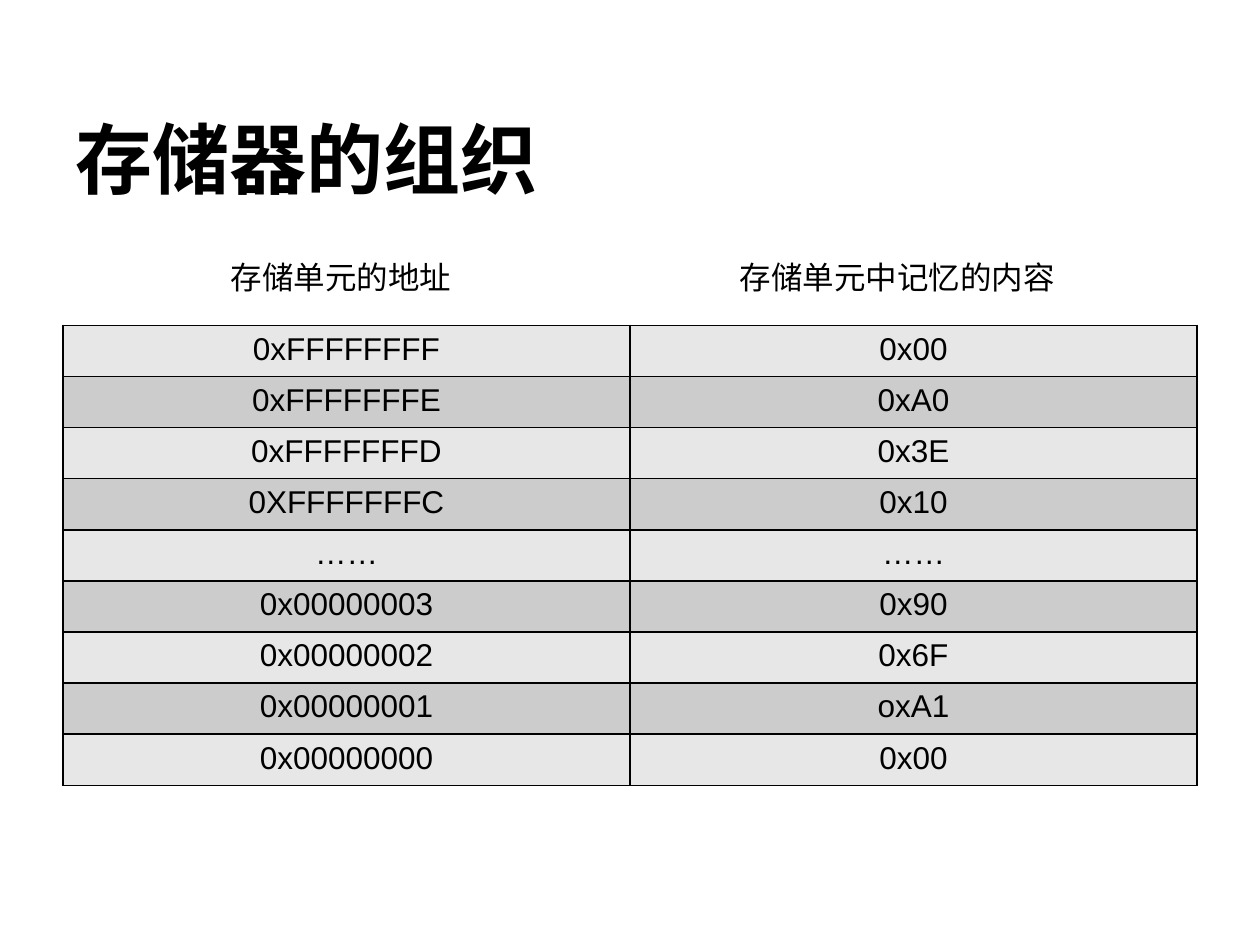
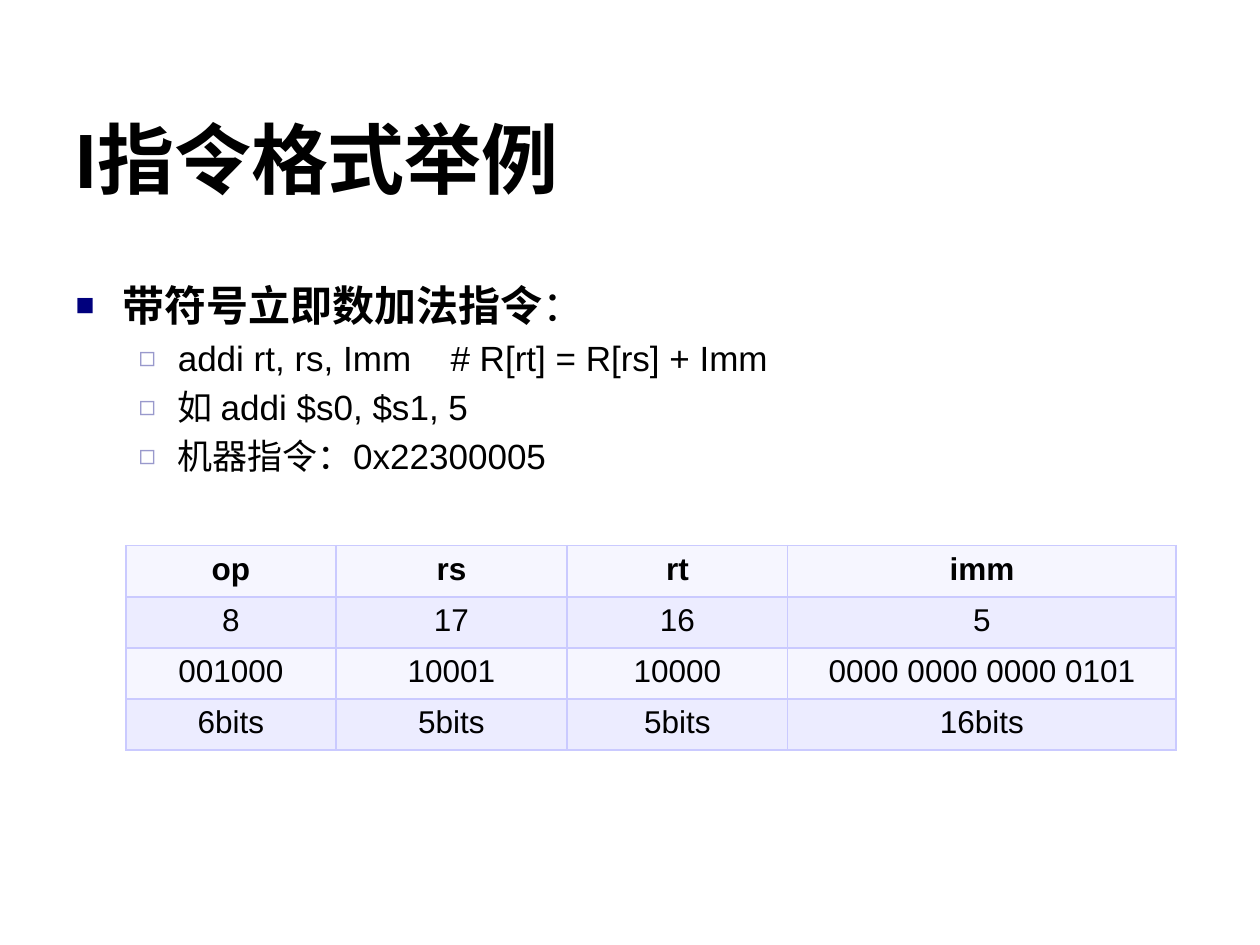
import pptx
import pptx.util
import pptx.dml.color
import pptx.enum.text
import pptx.enum.lang
import pptx.oxml
import pptx.oxml.ns

Cm = pptx.util.Cm
Pt = pptx.util.Pt
ALIGN = pptx.enum.text.PP_ALIGN
FIT = pptx.enum.text.MSO_AUTO_SIZE

# ---- Content ----
MEMORY_TITLE = "存储器的组织"
MEMORY_HEADINGS = ["存储单元的地址", "存储单元中记忆的内容"]
MEMORY_ROWS = [
    ("0xFFFFFFFF", "0x00"),
    ("0xFFFFFFFE", "0xA0"),
    ("0xFFFFFFFD", "0x3E"),
    ("0XFFFFFFFC", "0x10"),
    ("……", "……"),
    ("0x00000003", "0x90"),
    ("0x00000002", "0x6F"),
    ("0x00000001", "oxA1"),
    ("0x00000000", "0x00"),
]

FORMAT_TITLE = "I指令格式举例"
# Each item: level, then spans of (text, bold, letter spacing in points)
FORMAT_POINTS = [
    (0, [("带符号立即数加法指令", True, 0), ("：", False, 0)]),
    (1, [("addi rt, rs, Imm", False, 0), (" ", False, 16.7),
         ("# R[rt] = R[rs] + Imm", False, 0)]),
    (1, [("如 addi $s0, $s1, 5", False, 0)]),
    (1, [("机器指令：0x22300005", False, 0)]),
]
FORMAT_ROWS = [
    ("op", "rs", "rt", "imm"),
    ("8", "17", "16", "5"),
    ("001000", "10001", "10000", "0000 0000 0000 0101"),
    ("6bits", "5bits", "5bits", "16bits"),
]

# ---- Shared style ----
FONT = "Arial"
COLORS = {
    "text": "000000",
    "square": "00007D", "hollow": "9999CC",
    "gray light": "E7E7E7", "gray dark": "CCCCCC",
    "lilac light": "F6F6FF", "lilac dark": "ECECFF", "lilac line": "CACAFF",
}
LEVELS = [
    {"size": 24, "left": 0.95, "hang": 0.95, "mark": "■", "color": "square", "scale": 75},
    {"size": 20, "left": 2.06, "hang": 0.79, "mark": "◻", "color": "hollow", "scale": 80},
]
MARGIN = 1.27
CONTENT_WIDTH = 22.86
ROW_HEIGHT = 1.03


def rgb(name):
    """Return the named colour."""
    return pptx.dml.color.RGBColor.from_string(COLORS[name])


def element(xml):
    """Parse one drawing element, adding its namespace."""
    tag, rest = xml[1:].split(" ", 1)
    return pptx.oxml.parse_xml(f"<{tag} {pptx.oxml.ns.nsdecls('a')} {rest}")


def style(span, size, bold=False):
    """Give a run the deck's font."""
    span.font.name = FONT
    span.font.size = Pt(size)
    span.font.bold = bold
    span.font.color.rgb = rgb("text")
    span.font.language_id = pptx.enum.lang.MSO_LANGUAGE_ID.SIMPLIFIED_CHINESE


def write(frame, text, size, bold=False, align=ALIGN.CENTER):
    """Fill a text frame with one formatted paragraph."""
    frame.text = text
    para = frame.paragraphs[0]
    para.alignment = align
    for span in para.runs:
        style(span, size, bold)


def place(shape, left, top, width, height):
    """Move and size a placeholder, in centimetres."""
    shape.left, shape.top = Cm(left), Cm(top)
    shape.width, shape.height = Cm(width), Cm(height)


def add_page(deck, layout, title):
    """Add a slide with the shared title style."""
    page = deck.slides.add_slide(deck.slide_layouts.get_by_name(layout))
    box = page.shapes.title
    place(box, MARGIN, 1.27, CONTENT_WIDTH, 3.81)
    box.text_frame.auto_size = FIT.NONE
    box.text_frame.vertical_anchor = pptx.enum.text.MSO_ANCHOR.MIDDLE
    write(box.text_frame, title, 44, True, ALIGN.LEFT)
    return page


def add_label(page, text, left, top, width, height):
    """Add a centred text box."""
    box = page.shapes.add_textbox(Cm(left), Cm(top), Cm(width), Cm(height))
    box.text_frame.word_wrap = True
    box.text_frame.auto_size = FIT.SHAPE_TO_FIT_TEXT
    write(box.text_frame, text, 18)


def set_bullet(para, level):
    """Set the indent and bullet of a list paragraph."""
    props = para._p.get_or_add_pPr()
    props.set("marL", str(Cm(level["left"])))
    props.set("indent", str(-Cm(level["hang"])))
    color = COLORS[level["color"]]
    for xml in (
        f'<a:buClr ><a:srgbClr val="{color}"/></a:buClr>',
        f'<a:buSzPct val="{level["scale"] * 1000}"/>',
        f'<a:buFont typeface="{FONT}"/>',
        f'<a:buChar char="{level["mark"]}"/>',
    ):
        props.append(element(xml))


def fill_list(box, items):
    """Write a bulleted list into the body placeholder."""
    frame = box.text_frame
    frame.auto_size = FIT.NONE
    for index, (depth, spans) in enumerate(items):
        para = frame.paragraphs[0] if index == 0 else frame.add_paragraph()
        para.level = depth
        para.alignment = ALIGN.LEFT
        set_bullet(para, LEVELS[depth])
        for text, bold, spacing in spans:
            span = para.add_run()
            span.text = text
            style(span, LEVELS[depth]["size"], bold)
            if spacing:
                span.font._element.set("spc", str(round(spacing * 100)))


def set_borders(cell, color):
    """Draw a 1 pt line on all four sides of a cell."""
    props = cell._tc.get_or_add_tcPr()
    for index, side in enumerate(("lnL", "lnR", "lnT", "lnB")):
        props.insert(index, element(
            f'<a:{side} w="{Pt(1)}"><a:solidFill><a:srgbClr val="{COLORS[color]}"/>'
            f'</a:solidFill></a:{side}>'))


def add_grid(page, rows, left, top, widths, bands, line, header=False):
    """Add a table whose rows alternate between two fills."""
    table = page.shapes.add_table(
        len(rows), len(widths), Cm(left), Cm(top),
        Cm(sum(widths)), Cm(ROW_HEIGHT * len(rows))).table
    table.first_row = header
    table.horz_banding = False
    for column, width in zip(table.columns, widths):
        column.width = Cm(width)
    for r, values in enumerate(rows):
        table.rows[r].height = Cm(ROW_HEIGHT)
        for c, value in enumerate(values):
            cell = table.cell(r, c)
            cell.fill.solid()
            cell.fill.fore_color.rgb = rgb(bands[r % 2])
            set_borders(cell, line)
            write(cell.text_frame, value, 18, header and r == 0)


def build_memory(deck):
    """Build the slide on memory addresses and contents."""
    page = add_page(deck, "Title Only", MEMORY_TITLE)
    add_grid(page, MEMORY_ROWS, MARGIN, 6.56, [CONTENT_WIDTH / 2] * 2,
             ("gray light", "gray dark"), "text")
    for index, heading in enumerate(MEMORY_HEADINGS):
        add_label(page, heading, 2.96 + index * 11.21, 5.08, 7.83, 1.02)


def build_format(deck):
    """Build the slide on the I instruction format."""
    page = add_page(deck, "Title and Content", FORMAT_TITLE)
    body = page.placeholders[1]
    place(body, MARGIN, 5.5, CONTENT_WIDTH, 4.02)
    fill_list(body, FORMAT_POINTS)
    add_grid(page, FORMAT_ROWS, 2.54, 11, [4.23, 4.66, 4.45, 7.83],
             ("lilac light", "lilac dark"), "lilac line", header=True)


def main():
    """Build and save the deck."""
    deck = pptx.Presentation()
    deck.slide_width, deck.slide_height = Cm(25.4), Cm(19.05)
    build_memory(deck)
    build_format(deck)
    deck.save("out.pptx")


main()
